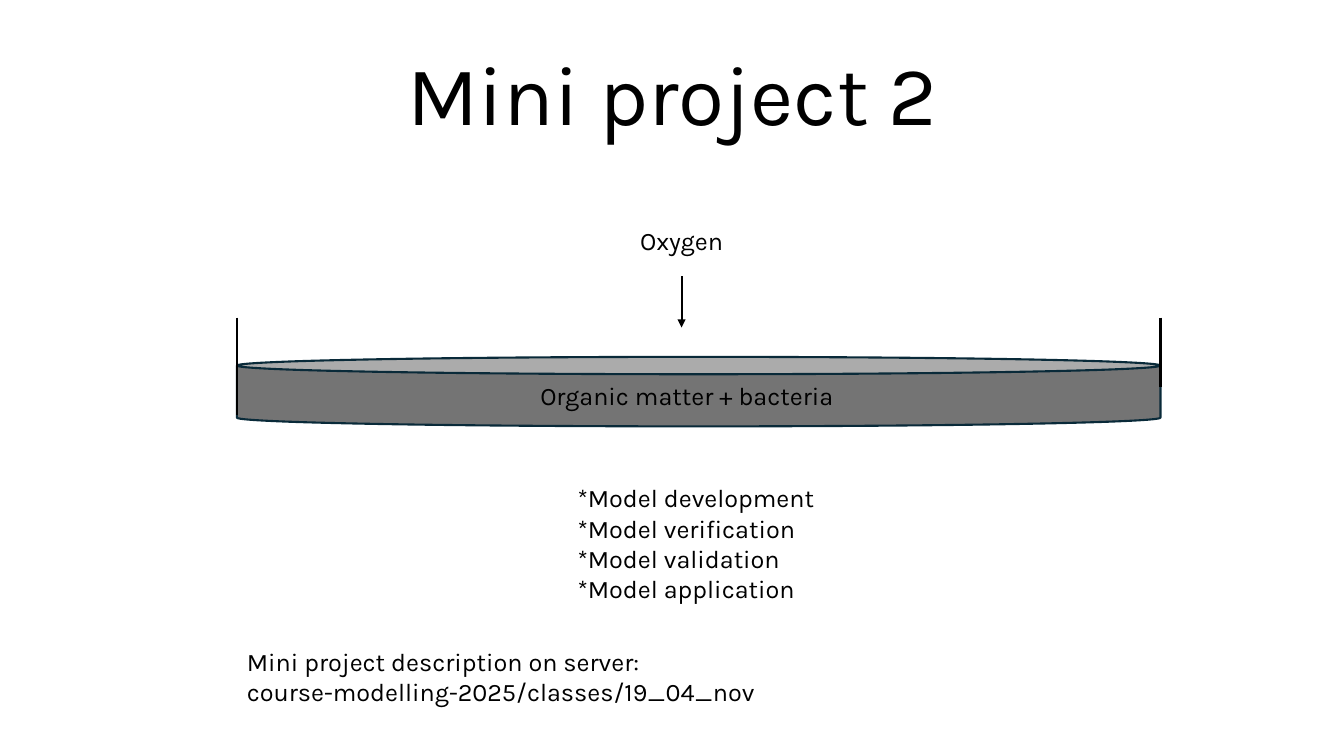
"""Builds the Mini project 2 slide with a dish of organic matter."""
from pptx import Presentation
from pptx.dml.color import RGBColor
from pptx.enum.shapes import MSO_CONNECTOR, MSO_SHAPE
from pptx.enum.text import MSO_ANCHOR, PP_ALIGN
from pptx.oxml.ns import qn
from pptx.util import Inches, Pt
from lxml.etree import SubElement


def color(value):
    return RGBColor.from_string(value)


class SlideBuilder:
    font = "Karla"
    ink = "000000"
    line_width = Pt(1.5)

    def __init__(self, slide):
        self.slide = slide

    def text(self, place, lines, size=18, anchor=MSO_ANCHOR.TOP, **formats):
        box = self.slide.shapes.add_textbox(*map(Inches, place))
        frame = box.text_frame
        frame.word_wrap = True
        frame.vertical_anchor = anchor
        for index, line in enumerate(lines):
            para = frame.paragraphs[0] if index == 0 else frame.add_paragraph()
            para.text = line
            for name, value in formats.items():
                setattr(para, name, value)
            for name, value in {"name": self.font, "size": Pt(size)}.items():
                setattr(para.font, name, value)
            para.font.color.rgb = color(self.ink)

    def can(self, place, fill, outline):
        shape = self.slide.shapes.add_shape(MSO_SHAPE.CAN, *map(Inches, place))
        shape.shadow.inherit = False
        shape.fill.solid()
        shape.fill.fore_color.rgb = color(fill)
        shape.line.color.rgb = color(outline)
        shape.line.width = self.line_width

    def vertical_line(self, left, top, bottom, arrow=False):
        connector = self.slide.shapes.add_connector(
            MSO_CONNECTOR.STRAIGHT, *map(Inches, (left, top, left, bottom)))
        connector.line.color.rgb = color(self.ink)
        connector.line.width = self.line_width
        properties = connector._element.spPr
        SubElement(properties, qn("a:effectLst"))
        if arrow:
            SubElement(properties.find(qn("a:ln")), qn("a:tailEnd"), type="triangle")


def main():
    deck = Presentation()
    deck.slide_width, deck.slide_height = Inches(13.33), Inches(7.5)
    page = SlideBuilder(deck.slides.add_slide(deck.slide_layouts[6]))

    page.text((1.67, 0.34, 10, 1.13), ["Mini project 2"], size=60,
              anchor=MSO_ANCHOR.BOTTOM, alignment=PP_ALIGN.CENTER, line_spacing=0.9)

    dish_left, dish_width = 2.35, 9.16
    page.can((dish_left, 3.54, dish_width, 0.69), "747474", "092A39")
    page.vertical_line(dish_left, 3.15, 4.12)
    page.vertical_line(dish_left + dish_width, 3.15, 3.84)
    page.vertical_line(6.76, 2.74, 3.25, arrow=True)

    page.text((6.25, 2.19, 1.2, 0.4), ["Oxygen"])
    page.text((5.26, 3.72, 4.09, 0.4), ["Organic matter + bacteria"])
    stages = ["development", "verification", "validation", "application"]
    page.text((5.63, 4.74, 4.94, 1.31), [f"*Model {stage}" for stage in stages])
    page.text((dish_left, 6.36, 8.83, 0.71),
              ["Mini project description on server:",
               "course-modelling-2025/classes/19_04_nov"])

    deck.save("out.pptx")


if __name__ == "__main__":
    main()
